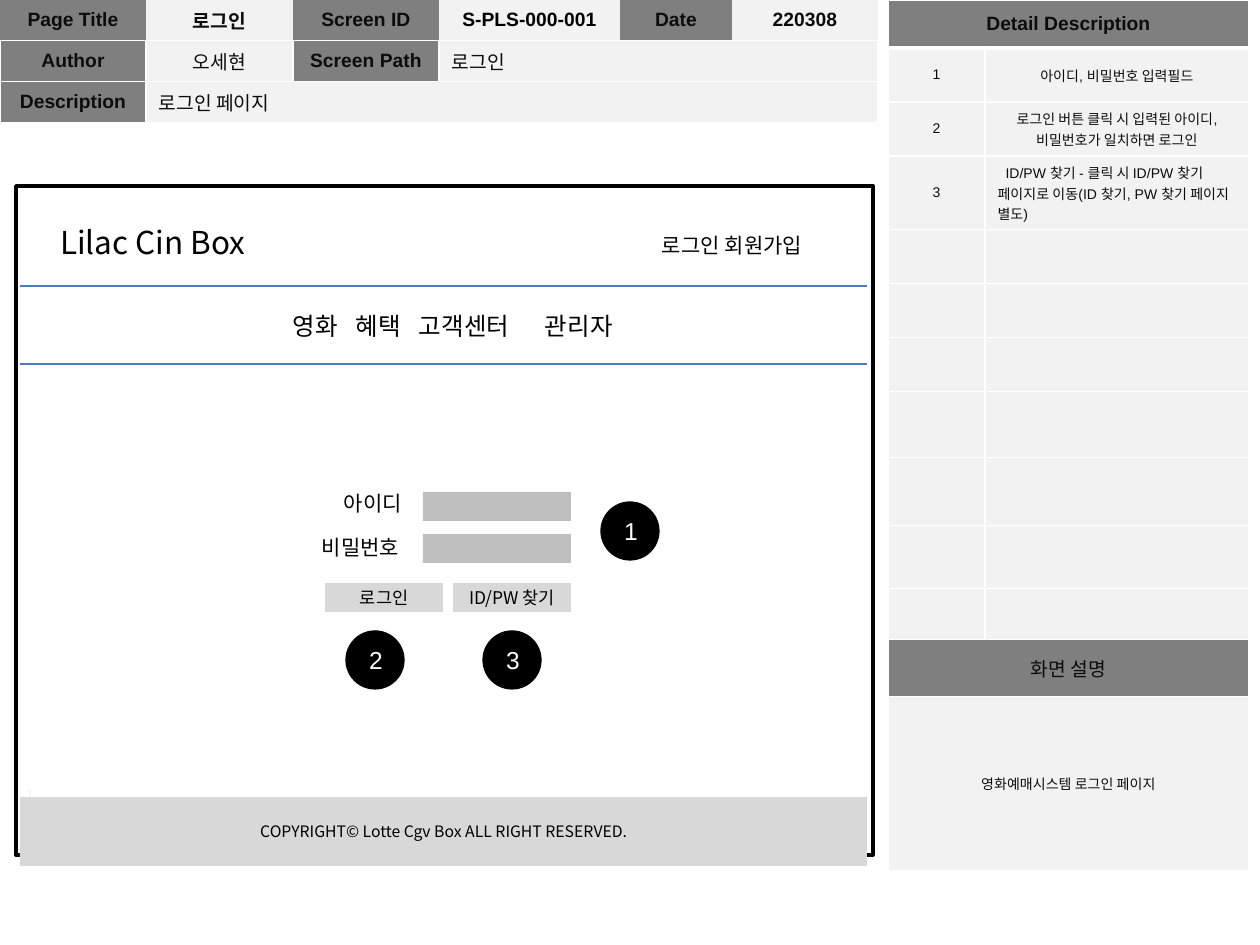
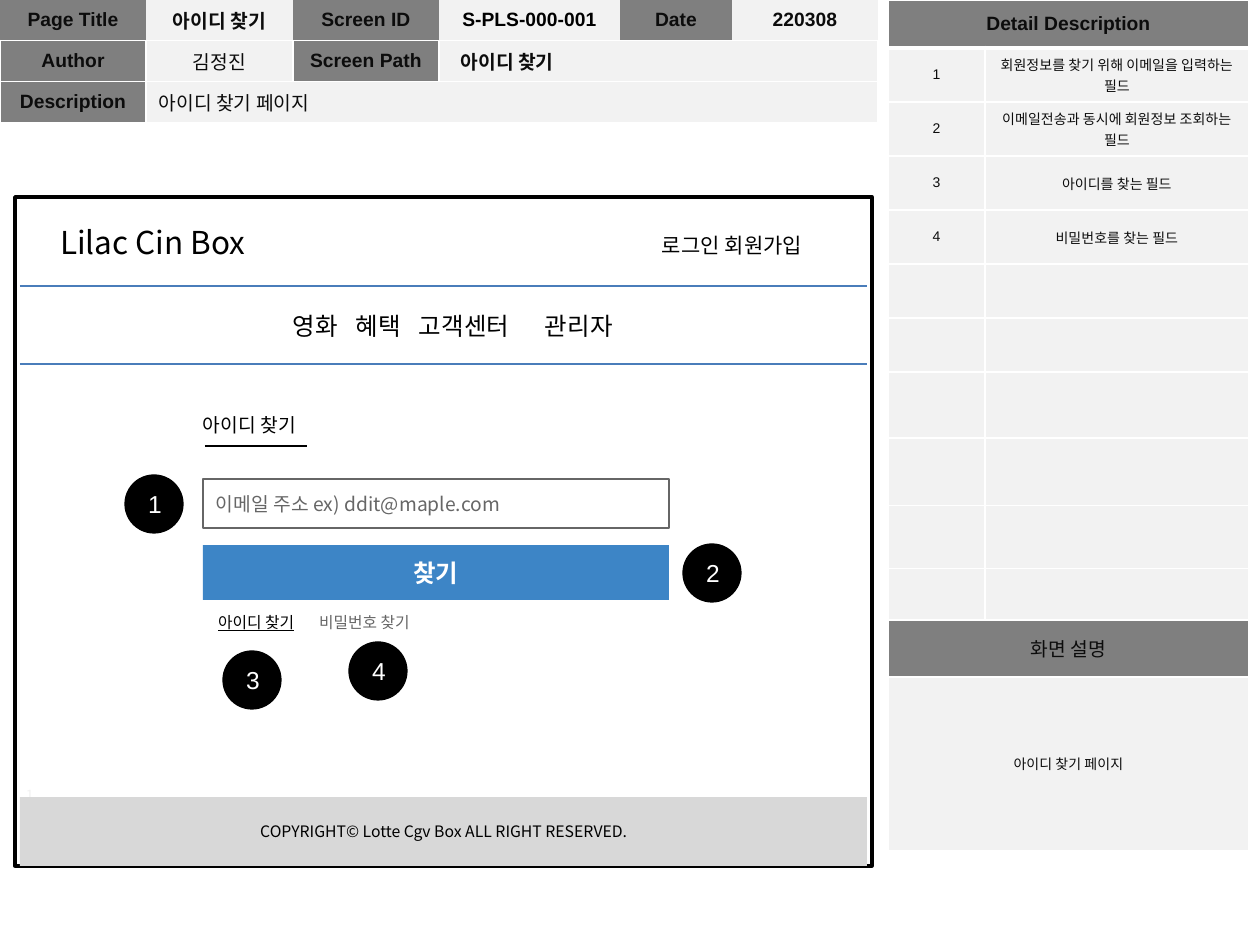
import pptx
import pptx.dml.color
import pptx.enum.shapes
import pptx.enum.text
import pptx.oxml
import pptx.oxml.ns
import pptx.util
from lxml import etree

EMU_PER_PX = 914400 / 126
KOREAN_FONT = "Noto Sans CJK KR"
NO_TABLE_STYLE = "{2D5ABB26-0587-4C30-8999-92F81FD0307C}"
COLORS = {
    "black": "000000", "ink": "0C0C0C", "white": "FFFFFF", "label": "7F7F7F",
    "pale": "F2F2F2", "button": "D8D8D8", "field": "BFBFBF", "hint": "666666",
    "rule": "4A7DBA", "action": "3D85C6",
}
RGB = {name: pptx.dml.color.RGBColor.from_string(value) for name, value in COLORS.items()}
LEFT, CENTER = pptx.enum.text.PP_ALIGN.LEFT, pptx.enum.text.PP_ALIGN.CENTER
TOP, MIDDLE = pptx.enum.text.MSO_ANCHOR.TOP, pptx.enum.text.MSO_ANCHOR.MIDDLE
RECTANGLE = pptx.enum.shapes.MSO_SHAPE.RECTANGLE
OVAL = pptx.enum.shapes.MSO_SHAPE.OVAL
qn = pptx.oxml.ns.qn


def write_text(frame, text, size=11, color="black", font=KOREAN_FONT, bold=False,
               underline=False, align=LEFT, first_indent=0, margin=0, tabs=()):
    paragraph = frame.paragraphs[0]
    paragraph.alignment = align
    properties = paragraph._p.get_or_add_pPr()
    properties.set("marL", str(int(margin * EMU_PER_PX)))
    properties.set("indent", str(int(first_indent * EMU_PER_PX)))
    if tabs:
        tab_list = etree.SubElement(properties, qn("a:tabLst"))
        for position in tabs:
            etree.SubElement(tab_list, qn("a:tab"), pos=str(int(position * EMU_PER_PX)), algn="l")
    run = paragraph.add_run()
    run.text = text
    run.font.size = pptx.util.Pt(size)
    run.font.bold = bold
    run.font.underline = underline
    run.font.color.rgb = RGB[color]
    run.font.name = font
    etree.SubElement(run._r.get_or_add_rPr(), qn("a:ea"), typeface=KOREAN_FONT)


def draw_box(slide, bounds, text="", fill=None, line=None, line_width=0.75,
             kind=RECTANGLE, anchor=None, inset=6, **text_format):
    lengths = [int(value * EMU_PER_PX) for value in bounds]
    if fill or line:
        shape = slide.shapes.add_shape(kind, *lengths)
        shape.shadow.inherit = False
        if fill:
            shape.fill.solid()
            shape.fill.fore_color.rgb = RGB[fill]
        else:
            shape.fill.background()
        if line:
            shape.line.color.rgb = RGB[line]
            shape.line.width = pptx.util.Pt(line_width)
        else:
            shape.line.fill.background()
    else:
        shape = slide.shapes.add_textbox(*lengths)
    if text:
        frame = shape.text_frame
        frame.word_wrap = True
        frame.vertical_anchor = anchor or (MIDDLE if fill else TOP)
        frame.margin_left = frame.margin_right = int(13 * EMU_PER_PX)
        frame.margin_top = frame.margin_bottom = int(inset * EMU_PER_PX)
        write_text(frame, text, **text_format)


# What differs between the two screens
pages = [
    {
        "title": "로그인", "author": "오세현", "path": "로그인", "path_format": {},
        "description": "로그인 페이지",
        "details": ["아이디, 비밀번호 입력필드",
                    "로그인 버튼 클릭 시 입력된 아이디, 비밀번호가 일치하면 로그인",
                    "ID/PW 찾기 - 클릭 시 ID/PW 찾기 페이지로 이동(ID 찾기, PW 찾기 페이지 별도)"],
        "left_aligned_detail": 3,
        "summary": "영화예매시스템 로그인 페이지",
        "frame": (16, 186, 857, 669),
        "parts": [
            ((331, 485, 90, 38), "아이디", {"size": 12}),
            ((309, 529, 111, 38), "비밀번호", {"size": 12}),
            ((423, 492, 148, 29), "", {"fill": "field"}),
            ((423, 534, 148, 29), "", {"fill": "field"}),
            ((325, 583, 118, 29), "로그인", {"fill": "button", "size": 10, "align": CENTER}),
            ((453, 583, 118, 29), "ID/PW 찾기", {"fill": "button", "size": 10, "align": CENTER}),
        ],
        "badges": [(601, 502), (346, 631), (483, 631)],
        "underlines": [],
    },
    {
        "title": "아이디 찾기", "author": "김정진", "path": "아이디 찾기",
        "path_format": {"bold": True, "first_indent": 9},
        "description": "아이디 찾기 페이지",
        "details": ["회원정보를 찾기 위해 이메일을 입력하는 필드",
                    "이메일전송과 동시에 회원정보 조회하는 필드",
                    "아이디를 찾는 필드", "비밀번호를 찾는 필드"],
        "left_aligned_detail": None,
        "summary": "아이디 찾기 페이지",
        "frame": (15, 197, 857, 669),
        "parts": [
            ((190, 402, 449, 49), "아이디 찾기", {"inset": 13}),
            ((203, 479, 466, 49), "이메일 주소 ex) ddit@maple.com",
             {"line": "hint", "color": "hint", "inset": 13, "anchor": TOP}),
            ((203, 545, 466, 55), "찾기",
             {"fill": "action", "size": 14, "color": "white", "bold": True,
              "align": CENTER, "inset": 13}),
            ((205, 603, 142, 44), "아이디 찾기", {"size": 9, "underline": True, "inset": 13}),
            ((306, 603, 142, 44), "비밀번호 찾기", {"size": 9, "color": "hint", "inset": 13}),
        ],
        "badges": [(125, 475), (683, 544), (223, 651), (349, 642)],
        "underlines": [(205, 307, 446, "black", 1.5)],
    },
]

presentation = pptx.Presentation()
presentation.slide_width = int(1260 * EMU_PER_PX)
presentation.slide_height = int(945 * EMU_PER_PX)

for page in pages:
    slide = presentation.slides.add_slide(presentation.slide_layouts[6])

    # Contents of both tables: (row, column) -> text, fill, columns spanned, format
    label = {"font": "Arial", "color": "ink", "bold": True, "align": CENTER}
    value = {"font": "Arial", "color": "ink"}
    centered = {**value, "align": CENTER}
    small = {**centered, "size": 8}
    header_cells = {
        (0, 0): ("Page Title", "label", 1, label),
        (0, 1): (page["title"], "pale", 1, label),
        (0, 2): ("Screen ID", "label", 1, label),
        (0, 3): ("S-PLS-000-001", "pale", 1, {**label, "color": "black"}),
        (0, 4): ("Date", "label", 1, label),
        (0, 5): ("220308", "pale", 1, label),
        (1, 0): ("Author", "label", 1, label),
        (1, 1): (page["author"], "pale", 1, centered),
        (1, 2): ("Screen Path", "label", 1, label),
        (1, 3): (page["path"], "pale", 3, {**value, **page["path_format"]}),
        (2, 0): ("Description", "label", 1, label),
        (2, 1): (page["description"], "pale", 5, value),
    }
    detail_cells = {
        (0, 0): ("Detail Description", "label", 2, label),
        (11, 0): ("화면 설명", "label", 2, centered),
        (12, 0): (page["summary"], "pale", 2, small),
    }
    for number, detail in enumerate(page["details"], start=1):
        detail_format = small
        if number == page["left_aligned_detail"]:
            detail_format = {**small, "align": LEFT, "first_indent": 8}
        detail_cells[number, 0] = (str(number), "pale", 1, small)
        detail_cells[number, 1] = (detail, "pale", 1, detail_format)

    # Header table and detail table
    for left, widths, heights, cells, top_row_borders in (
        (0, [146, 147, 146, 181, 112, 146], [40, 41, 41], header_cells, {"B": 1}),
        (888, [97, 264], [48] + [54] * 6 + [66, 68, 63, 45, 57, 174], detail_cells,
         {"L": 1, "R": 1, "T": 1, "B": 3}),
    ):
        table = slide.shapes.add_table(
            len(heights), len(widths), int(left * EMU_PER_PX), 0,
            int(sum(widths) * EMU_PER_PX), int(sum(heights) * EMU_PER_PX)).table
        table.first_row = table.horz_banding = False
        table._tbl.tblPr.find(qn("a:tableStyleId")).text = NO_TABLE_STYLE
        for column, width in zip(table.columns, widths):
            column.width = int(width * EMU_PER_PX)
        for row, height in zip(table.rows, heights):
            row.height = int(height * EMU_PER_PX)
        for row_index in range(len(heights)):
            for column_index in range(len(widths)):
                cell = table.cell(row_index, column_index)
                if cell.is_spanned:
                    continue
                text, fill, span, text_format = cells.get(
                    (row_index, column_index), ("", "pale", 1, {}))
                if span > 1:
                    cell.merge(table.cell(row_index, column_index + span - 1))
                borders = {"L": 1, "R": 1, "T": 1, "B": 1} if row_index else top_row_borders
                cell_properties = cell._tc.get_or_add_tcPr()
                for side, width in borders.items():
                    border = etree.SubElement(
                        cell_properties, qn("a:ln" + side), w=str(pptx.util.Pt(width)))
                    border_fill = etree.SubElement(border, qn("a:solidFill"))
                    etree.SubElement(border_fill, qn("a:srgbClr"), val=COLORS["white"])
                cell.fill.solid()
                cell.fill.fore_color.rgb = RGB[fill]
                cell.vertical_anchor = MIDDLE
                if text:
                    write_text(cell.text_frame, text, **text_format)

    # Screen frame, site header, menu and footer
    draw_box(slide, (13, 780, 33, 30), "1", size=8, color="pale", align=CENTER)
    draw_box(slide, page["frame"], line="black", line_width=2)
    draw_box(slide, (39, 217, 228, 50), "Lilac Cin Box", size=18, align=CENTER)
    draw_box(slide, (649, 227, 197, 38), "로그인\t회원가입", size=12, tabs=[72])
    draw_box(slide, (280, 305, 393, 43), "영화\t혜택\t고객센터\t관리자",
             size=14, tabs=[73, 146, 263])
    draw_box(slide, (20, 797, 847, 69), "COPYRIGHT© Lotte Cgv Box ALL RIGHT RESERVED.",
             fill="button", size=9, align=CENTER)

    # Rules
    menu_rules = [(20, 867, y, "rule", 0.75) for y in (286, 364)]
    for start, end, y, color, width in menu_rules + page["underlines"]:
        connector = slide.shapes.add_connector(
            pptx.enum.shapes.MSO_CONNECTOR.STRAIGHT,
            *[int(length * EMU_PER_PX) for length in (start, y, end, y)])
        connector.line.color.rgb = RGB[color]
        connector.line.width = pptx.util.Pt(width)
        etree.SubElement(connector._element.spPr, qn("a:effectLst"))

    # Form parts and numbered badges
    for bounds, text, part_format in page["parts"]:
        draw_box(slide, bounds, text, **part_format)
    for number, (left, top) in enumerate(page["badges"], start=1):
        draw_box(slide, (left, top, 58, 58), str(number), kind=OVAL, fill="black",
                 line="black", size=14, color="white", font="Arial", align=CENTER,
                 inset=13, margin=2)

presentation.save("out.pptx")
